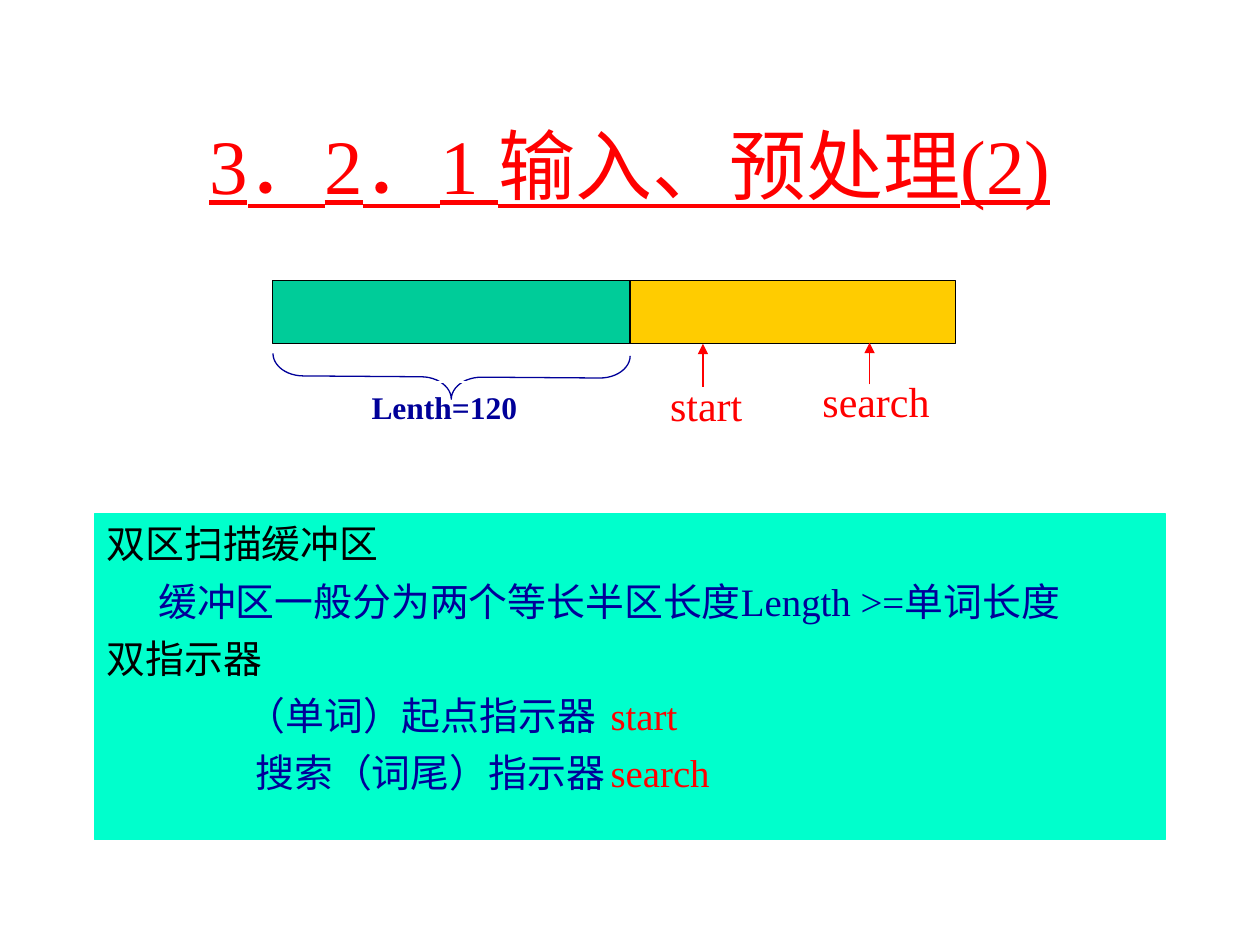
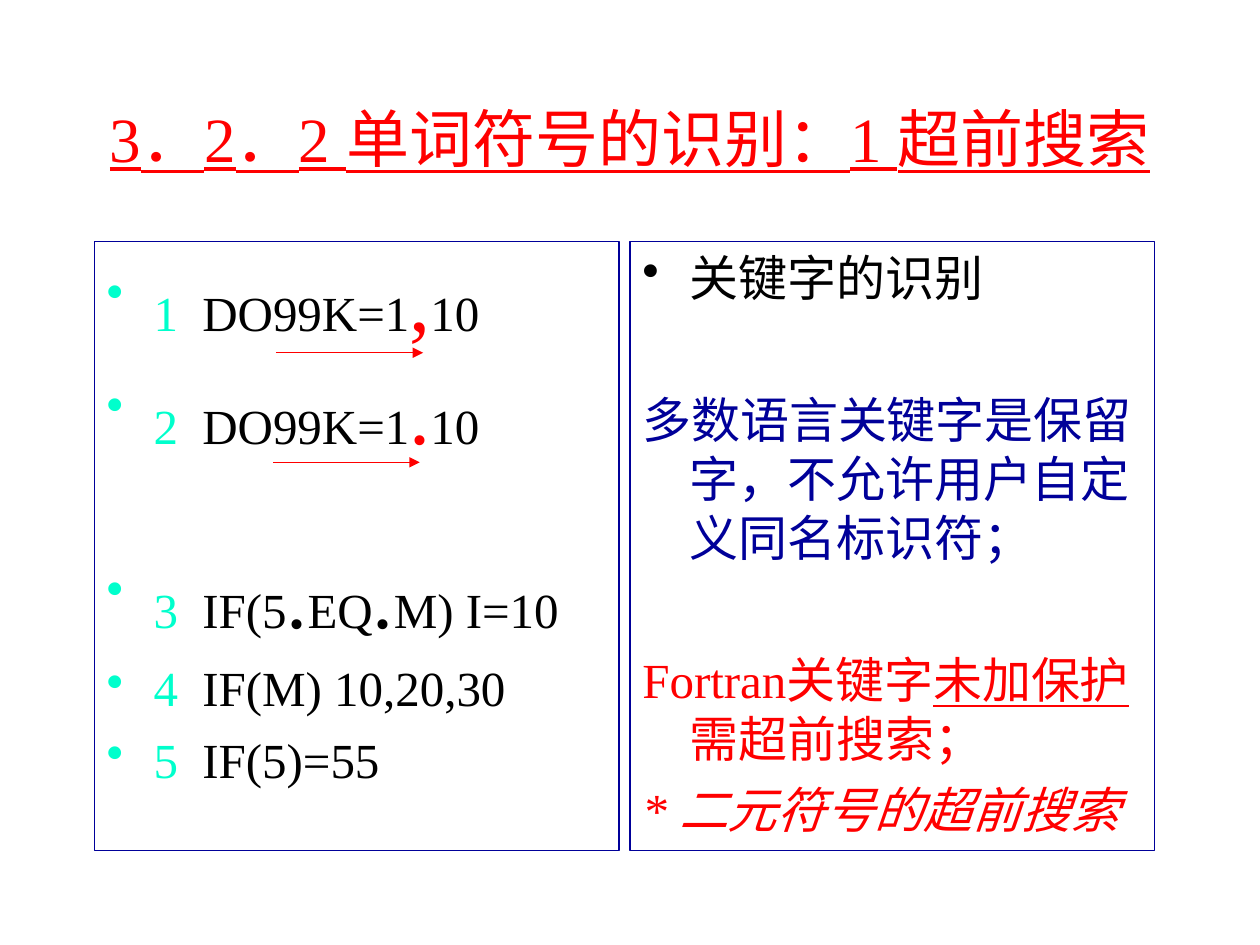
from dataclasses import dataclass

from lxml import etree
from pptx import Presentation
from pptx.dml.color import RGBColor
from pptx.enum.shapes import MSO_CONNECTOR as Link, MSO_SHAPE as Shape
from pptx.enum.text import MSO_ANCHOR as Anchor, MSO_AUTO_SIZE as AutoSize, PP_ALIGN as Align
from pptx.oxml.ns import qn
from pptx.util import Cm, Pt


@dataclass(frozen=True)
class Theme:
    """Colours, font and type sizes shared by the slides."""
    font: str = "Times New Roman"
    red: str = "FF0000"
    navy: str = "000099"
    black: str = "000000"
    white: str = "FFFFFF"
    aqua: str = "00FFCC"
    green: str = "00CC99"
    amber: str = "FFCC00"
    title: float = 44
    long_title: float = 36
    note: float = 22.2
    body: float = 28
    mark: float = 48
    pointer: float = 24
    caption: float = 18
    line: float = 0.75
    hang: float = 0.95


T = Theme()


def rgb(color):
    """Turn a hex string into a colour."""
    return RGBColor.from_string(color)


def write(p, text, size=T.body, color=T.black, bold=False, italic=False, underline=False):
    """Add one formatted run to a paragraph."""
    r = p.add_run()
    r.text = text
    f = r.font
    f.name, f.size, f.color.rgb = T.font, Pt(size), rgb(color)
    f.bold, f.italic, f.underline = bold, italic, underline


def add_node(parent, tag, **attrs):
    """Append an XML child with attributes."""
    return etree.SubElement(parent, qn(tag), {k: str(v) for k, v in attrs.items()})


def paragraph(tf, runs, before=0, margin=0, first=0, bullet=None, tabs=()):
    """Fill the next paragraph with (text, format) runs."""
    empty = len(tf.paragraphs) == 1 and not tf.paragraphs[0].runs
    p = tf.paragraphs[0] if empty else tf.add_paragraph()
    p.alignment = Align.LEFT
    p.space_before = Pt(0 if empty else before)
    pr = p._p.get_or_add_pPr()
    pr.set("marL", str(Cm(margin)))
    pr.set("indent", str(Cm(first)))
    if bullet:
        add_node(add_node(pr, "a:buClr"), "a:srgbClr", val=bullet)
        add_node(pr, "a:buChar", char="•")
    if tabs:
        stops = add_node(pr, "a:tabLst")
        for pos in tabs:
            add_node(stops, "a:tab", pos=Cm(pos), algn="l")
    for text, fmt in runs:
        write(p, text, **fmt)


def add_title(s, text, size, height):
    """Place and format the title placeholder."""
    sp = s.shapes.title
    sp.left, sp.top, sp.width, sp.height = Cm(1.9), Cm(1.7), Cm(21.59), Cm(height)
    tf = sp.text_frame
    tf.auto_size, tf.vertical_anchor = AutoSize.NONE, Anchor.MIDDLE
    p = tf.paragraphs[0]
    p.alignment = Align.CENTER
    write(p, text, size=size, color=T.red, underline=True)


def add_box(s, left, top, width, height, fill=None, line=T.black, kind=Shape.RECTANGLE):
    """Add an outlined shape and return it."""
    sp = s.shapes.add_shape(kind, Cm(left), Cm(top), Cm(width), Cm(height))
    sp.shadow.inherit = False
    if fill:
        sp.fill.solid()
        sp.fill.fore_color.rgb = rgb(fill)
    else:
        sp.fill.background()
    sp.line.color.rgb, sp.line.width = rgb(line), Pt(T.line)
    sp.text_frame.vertical_anchor = Anchor.TOP
    sp.text_frame.word_wrap = True
    return sp


def add_label(s, text, left, top, width):
    """Add a red pointer name."""
    tf = s.shapes.add_textbox(Cm(left), Cm(top), Cm(width), Cm(1.27)).text_frame
    tf.word_wrap = False
    paragraph(tf, [(text, dict(size=T.pointer, color=T.red))])


def add_arrow(s, x1, y1, x2, y2):
    """Draw a red line with a triangle at its end."""
    c = s.shapes.add_connector(Link.STRAIGHT, Cm(x1), Cm(y1), Cm(x2), Cm(y2))
    c.line.color.rgb, c.line.width = rgb(T.red), Pt(T.line)
    add_node(c.line._get_or_add_ln(), "a:tailEnd", type="triangle")
    add_node(c._element.spPr, "a:effectLst")


def draw_buffer(s):
    """Draw the two buffer halves with their brace and pointers."""
    add_box(s, 5.5, 5.66, 7.2, 1.27, T.green)
    add_box(s, 12.7, 5.66, 6.56, 1.27, T.amber)
    brace = add_box(s, 8.65, 4, 0.9, 7.2, line=T.navy, kind=Shape.RIGHT_BRACE)
    brace.rotation = 90.4
    brace.adjustments[0] = 0.68
    tf = add_box(s, 7.24, 7.7, 3.81, 1.02, line=T.white).text_frame
    paragraph(tf, [("Lenth=120", dict(size=T.caption, color=T.navy, bold=True))])
    add_arrow(s, 14.17, 7.8, 14.17, 6.93)
    add_arrow(s, 17.53, 7.75, 17.53, 6.91)
    add_label(s, "start", 13.26, 7.52, 1.98)
    add_label(s, "search", 16.33, 7.44, 2.97)


def add_buffer_notes(s):
    """Explain the buffer and its two pointers."""
    tf = add_box(s, 1.9, 10.36, 21.59, 6.56, T.aqua, T.aqua).text_frame
    notes = [
        (0, T.black, "双区扫描缓冲区", ""),
        (1.04, T.navy, "缓冲区一般分为两个等长半区长度Length >=单词长度", ""),
        (0, T.black, "双指示器", ""),
        (2.82, T.navy, "（单词）起点指示器", "start"),
        (3, T.navy, "搜索（词尾）指示器", "search"),
    ]
    for first, color, text, pointer in notes:
        runs = [(text, dict(size=T.note, color=color))]
        if pointer:
            runs.append(("\t" + pointer, dict(size=T.note, color=T.red)))
        paragraph(tf, runs, before=6, first=first, tabs=[12.67] if pointer else ())


def add_panel(s, left):
    """Add a navy-framed panel and return its text frame."""
    return add_box(s, left, 4.87, 10.58, 12.28, line=T.navy).text_frame


def add_statements(s):
    """List the numbered statements with their enlarged marks."""
    tf = add_panel(s, 1.9)
    red_mark, black_mark = dict(size=T.mark, color=T.red), dict(size=T.mark)
    statements = [
        (7, [("DO99K=1", {}), (",", red_mark), ("10", {})]),
        (7, [("DO99K=1", {}), (".", red_mark), ("10", {})]),
        (47.6, [("IF(5", {}), (".", black_mark), ("EQ", {}), (".", black_mark), ("M) I=10", {})]),
        (7, [("IF(M) 10,20,30", {})]),
        (7, [("IF(5)=55", {})]),
    ]
    for number, (before, code) in enumerate(statements, 1):
        runs = [(f"{number}\t", dict(color=T.aqua))] + code
        paragraph(tf, runs, before, T.hang, -T.hang, T.aqua, tabs=(0.98, 1.93))
    add_arrow(s, 5.56, 7.11, 8.53, 7.11)
    add_arrow(s, 5.51, 9.32, 8.46, 9.32)


def add_keyword_rules(s):
    """Describe how keywords are recognised."""
    tf = add_panel(s, 12.7)
    red = dict(color=T.red)
    rules = [
        (0, T.black, [("关键字的识别", {})]),
        (47.6, None, [("多数语言关键字是保留字，不允许用户自定义同名标识符；", dict(color=T.navy))]),
        (47.6, None, [("Fortran关键字", red), ("未加保护", dict(red, underline=True)),
                      ("需超前搜索；", red)]),
        (7, None, [("* 二元符号的超前搜索", dict(red, italic=True))]),
    ]
    for before, bullet, runs in rules:
        paragraph(tf, runs, before, T.hang, -T.hang, bullet)


def main():
    """Build both slides and save them."""
    prs = Presentation()
    prs.slide_width, prs.slide_height = Cm(25.4), Cm(19.05)
    layout = prs.slide_layouts[5]

    s = prs.slides.add_slide(layout)
    add_title(s, "3．2．1 输入、预处理(2)", T.title, 3.18)
    add_buffer_notes(s)
    draw_buffer(s)

    s = prs.slides.add_slide(layout)
    add_title(s, "3．2．2 单词符号的识别：1 超前搜索", T.long_title, 2.12)
    add_statements(s)
    add_keyword_rules(s)

    prs.save("out.pptx")


if __name__ == "__main__":
    main()
